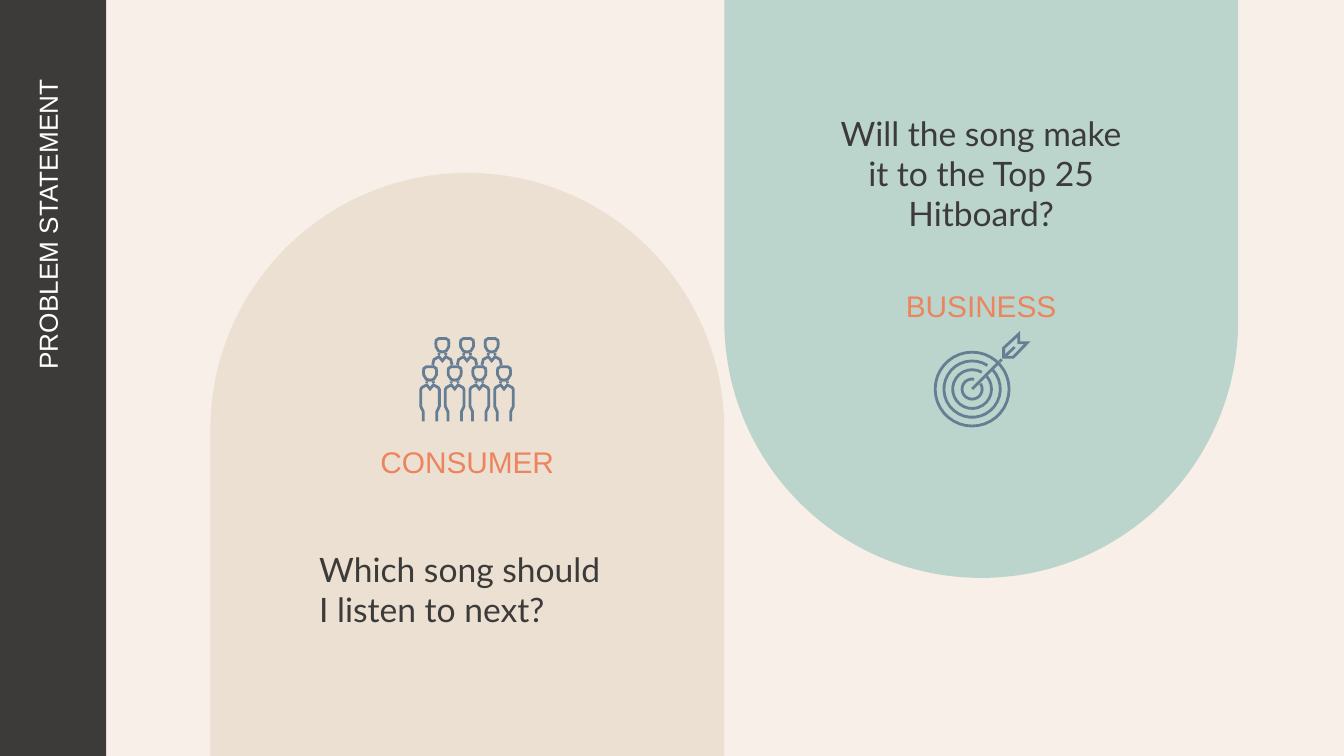
from math import cos, hypot, radians, sin

from lxml import etree
from pptx import Presentation
from pptx.dml.color import RGBColor
from pptx.enum.shapes import MSO_SHAPE
from pptx.enum.text import MSO_ANCHOR, PP_ALIGN
from pptx.oxml.ns import qn
from pptx.util import Pt

RECT, ARCH = MSO_SHAPE.RECTANGLE, MSO_SHAPE.ROUND_2_SAME_RECTANGLE
LEFT, MID, RIGHT = PP_ALIGN.LEFT, PP_ALIGN.CENTER, PP_ALIGN.RIGHT
TOP, BASE = MSO_ANCHOR.TOP, MSO_ANCHOR.BOTTOM

THEME = {
    "back": "F8EFE8", "dark": "3C3B39", "white": "FFFFFF",
    "sand": "E2D5C2", "mint": "A9CEC6", "coral": "EC845D", "steel": "657E93",
    "head": "Arial", "body": "Lato",
    "title": 14, "label": 16, "text": 18, "line": 1.5,
}

TITLE = "PROBLEM STATEMENT"
ARCH_X, ARCH_W, ARCH_H = 112.7, 275.3, 312.5
PANELS = [
    {"label": "CONSUMER", "text": "Which song should I listen to next?",
     "fill": "sand", "alpha": 54, "top": 92.6, "turn": 0,
     "label_top": 218.5, "text_top": 286.8, "align": LEFT},
    {"label": "BUSINESS", "text": "Will the song make it to the Top 25 Hitboard?",
     "fill": "mint", "alpha": 77, "top": -2.9, "turn": 180,
     "label_top": 135, "text_top": 53.1, "align": MID},
]
LABEL_W, TEXT_W, TEXT_H = 223.2, 172.8, 45.4

# Left half of a person, measured from the middle of the head
HEAD = [(0, -3.6), (-2, -3.6), (-3.3, -2.7), (-3.5, -1.2), (-3.4, 0.8),
        (-2, 3.1), (0, 3.6)]
NECK = [(-1.8, 4.2), (-1.8, 5.1)]
CHEST = [(0, 8.3), (-1.8, 6.1)]
FRONT = CHEST + [(-4.4, 7.5), (-5, 8.6), (-5, 17.6), (-3.6, 20.5), (-3.6, 25.6)]
REAR = CHEST + [(-4.5, 7.6), (-5.2, 10.5)]
STEP = 13.2
ROWS = [(3, 237, 185, REAR), (4, 230.4, 200.1, FRONT)]

HUB = (520.8, 208.5)
# Radius, the angles where a ring starts and ends, and its count of sides
RINGS = [(19.8, 0, 360, 36), (15.1, 57, 403, 30),
         (10.4, 60, 402, 24), (5.4, 78, 393, 18)]
SHAFT = [[(0, 0), (13.3, -13.3)], [(14.7, -14.7), (15.9, -15.9)],
         [(18, -18), (22.8, -22.5)]]
FLIGHT = [(16.9, -22), (25, -29.5), (25, -24.8), (29.5, -24.8),
          (22, -17), (16.9, -17)]


def color(name):
    return RGBColor.from_string(THEME[name])


def paint(shape, name, alpha=None):
    shape.shadow.inherit = False
    shape.fill.solid()
    shape.fill.fore_color.rgb = color(name)
    shape.line.fill.background()
    if alpha:
        tint = shape.fill._xPr.find(qn("a:solidFill"))[0]
        etree.SubElement(tint, qn("a:alpha")).set("val", str(alpha * 1000))


def mirror(half):
    """Join a left half, listed from the axis outward, with its right half."""
    return half[::-1] + [(-x, y) for x, y in half[1:]]


def normal(a, b):
    dx, dy = b[0] - a[0], b[1] - a[1]
    size = hypot(dx, dy)
    return -dy / size, dx / size


def side(points, gap, loop):
    """Shift a path sideways by gap, with mitred corners."""
    spots = []
    last = len(points) - 1
    for i, (x, y) in enumerate(points):
        ways = []
        if i > 0 or loop:
            ways.append(normal(points[i - 1], (x, y)))
        if i < last or loop:
            ways.append(normal((x, y), points[(i + 1) % len(points)]))
        (ax, ay), (bx, by) = ways[0], ways[-1]
        scale = gap / (1 + ax * bx + ay * by)
        spots.append((x + (ax + bx) * scale, y + (ay + by) * scale))
    return spots


def band(points, loop=False):
    """Return the contours that enclose a path drawn at line width."""
    gap = THEME["line"] / 2
    one, two = side(points, gap, loop), side(points, -gap, loop)[::-1]
    return [one, two] if loop else [one + two]


def move(points, base):
    return [(x + base[0], y + base[1]) for x, y in points]


def add_icon(slide, contours):
    pen = None
    for contour in contours:
        spots = [(Pt(x), Pt(y)) for x, y in contour]
        if pen is None:
            pen = slide.shapes.build_freeform(*spots[0])
        else:
            pen.move_to(*spots[0])
        pen.add_line_segments(spots[1:], close=True)
    paint(pen.convert_to_shape(), "steel")


def add_text(slide, text, rect, size, font, ink, align, anchor=TOP):
    box = slide.shapes.add_textbox(*map(Pt, rect))
    frame = box.text_frame
    frame.word_wrap = True
    frame.vertical_anchor = anchor
    frame.margin_left = frame.margin_right = Pt(7.2)
    frame.margin_top = frame.margin_bottom = Pt(7.2)
    para = frame.paragraphs[0]
    para.text = text
    para.alignment = align
    para.font.size = Pt(THEME[size])
    para.font.name = THEME[font]
    para.font.color.rgb = color(ink)
    return box


def add_panel(slide, index, panel):
    left = ARCH_X + index * ARCH_W
    axis = left + ARCH_W / 2
    arch = slide.shapes.add_shape(
        ARCH, Pt(left), Pt(panel["top"]), Pt(ARCH_W), Pt(ARCH_H))
    arch.adjustments[0], arch.adjustments[1] = 0.5, 0
    arch.rotation = panel["turn"]
    paint(arch, panel["fill"], panel["alpha"])
    add_text(slide, panel["label"],
             (axis - LABEL_W / 2, panel["label_top"], LABEL_W, TEXT_H),
             "label", "head", "coral", MID, BASE)
    box = add_text(slide, panel["text"],
                   (axis - TEXT_W / 2, panel["text_top"], TEXT_W, TEXT_H),
                   "text", "body", "dark", panel["align"])
    box.text_frame.paragraphs[0].space_after = Pt(16)


def add_crowd(slide):
    contours = []
    for count, left, y, body in ROWS:
        person = band(mirror(HEAD)[:-1], loop=True) + band(mirror(body))
        person += band(NECK) + band([(-dx, dy) for dx, dy in NECK])
        for i in range(count):
            contours += [move(part, (left + i * STEP, y)) for part in person]
    add_icon(slide, contours)


def add_target(slide):
    contours = band(FLIGHT, loop=True)
    for radius, start, end, sides in RINGS:
        loop = end - start == 360
        turns = [radians(start + (end - start) * i / sides)
                 for i in range(sides if loop else sides + 1)]
        contours += band([(radius * cos(a), -radius * sin(a)) for a in turns], loop)
    for part in SHAFT:
        contours += band(part)
    add_icon(slide, [move(contour, HUB) for contour in contours])


def main():
    deck = Presentation()
    deck.slide_width, deck.slide_height = Pt(720), Pt(405)
    slide = deck.slides.add_slide(deck.slide_layouts[6])
    slide.background.fill.solid()
    slide.background.fill.fore_color.rgb = color("back")

    bar = slide.shapes.add_shape(RECT, Pt(-0.7), Pt(-0.7), Pt(57.6), Pt(409))
    paint(bar, "dark")
    title = add_text(slide, TITLE, (-81.2, 126.5, 223.9, 41.8),
                     "title", "head", "white", RIGHT)
    title.rotation = 270

    for index, panel in enumerate(PANELS):
        add_panel(slide, index, panel)
    add_crowd(slide)
    add_target(slide)
    deck.save("out.pptx")


if __name__ == "__main__":
    main()
